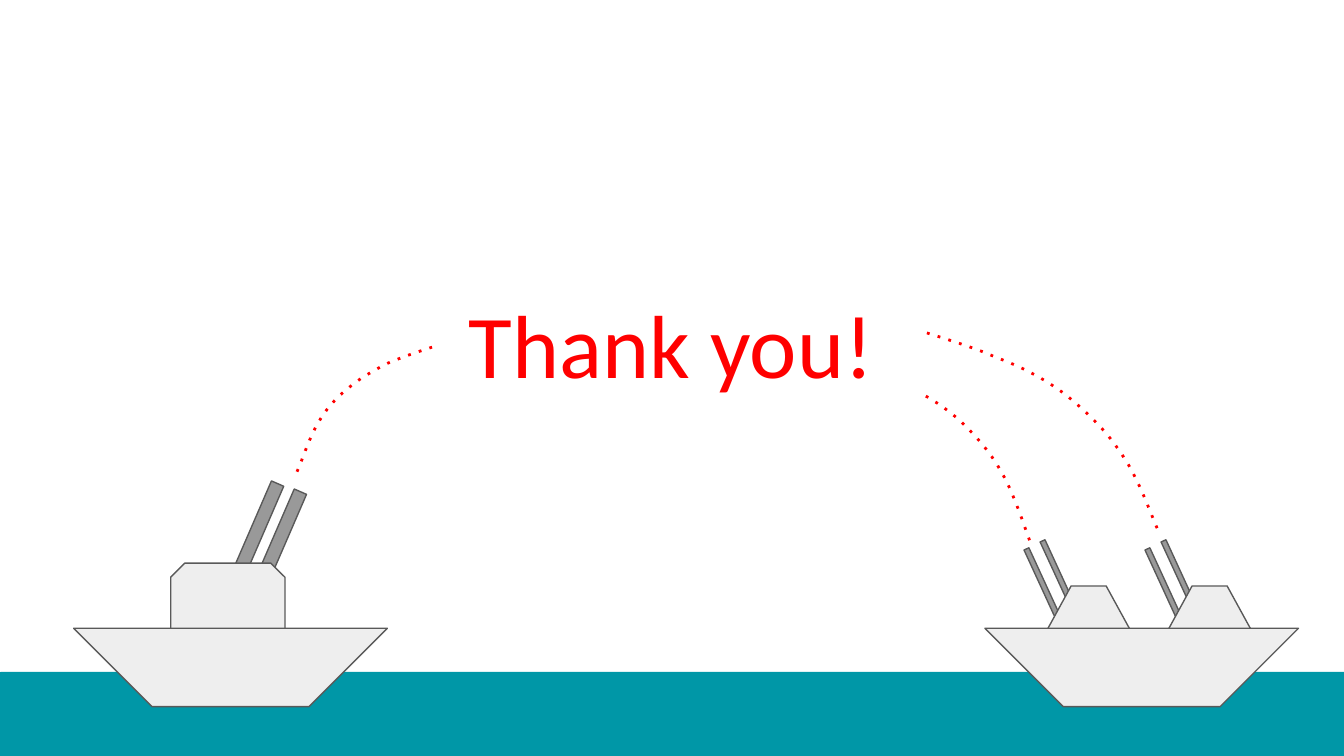
from pptx import Presentation
from pptx.dml.color import RGBColor
from pptx.enum.dml import MSO_LINE
from pptx.enum.shapes import MSO_SHAPE
from pptx.enum.text import MSO_ANCHOR, PP_ALIGN
from pptx.oxml.ns import qn
from pptx.util import Inches, Pt

SEA = RGBColor(0x00, 0x97, 0xA7)
STEEL = RGBColor(0xEE, 0xEE, 0xEE)
BARREL = RGBColor(0x99, 0x99, 0x99)
OUTLINE = RGBColor(0x59, 0x59, 0x59)
RED = RGBColor(0xFF, 0x00, 0x00)
WHITE = RGBColor(0xFF, 0xFF, 0xFF)

MESSAGE = "Thank you!"

# Places are left, top, width, height in inches.
SEA_BOX = (-0.15, 5, 10.34, 0.96)
MESSAGE_BOX = (3.14, 2.05, 3.71, 0.94)
HULL_LEFTS = [0.89, 7.67]
HULL_TOP, HULL_SIZE = 3.85, 1.65
SMALL_TURRET_LEFTS = [8.64, 7.74]
SMALL_BARREL_OFFSETS = [(-0.14, -0.11), (-0.26, -0.05)]
BIG_TURRET_BOX = (1.27, 4.19, 0.85, 0.63)
BIG_BARRELS = [(1.67, 3.98, 0.81, 0.1), (1.5, 3.92, 0.81, 0.1)]

# Each path is a start point followed by groups of three Bezier points.
RIGHT_SHOTS = [
    [(8.61, 3.93), (8.57, 3.84), (8.46, 3.53), (8.34, 3.37),
     (8.23, 3.2), (8.07, 3.05), (7.92, 2.93),
     (7.76, 2.81), (7.6, 2.73), (7.39, 2.65),
     (7.19, 2.56), (6.8, 2.45), (6.68, 2.41)],
    [(7.66, 4.02), (7.63, 3.94), (7.54, 3.66), (7.45, 3.51),
     (7.36, 3.35), (7.24, 3.22), (7.12, 3.11),
     (6.99, 3), (6.87, 2.93), (6.7, 2.85),
     (6.54, 2.77), (6.23, 2.67), (6.14, 2.64)],
]
LEFT_SHOT = [
    (2.21, 3.51), (2.24, 3.45), (2.3, 3.26), (2.36, 3.16),
    (2.42, 3.05), (2.5, 2.96), (2.59, 2.89),
    (2.67, 2.82), (2.76, 2.77), (2.87, 2.71),
    (2.98, 2.66), (3.19, 2.59), (3.26, 2.57),
]
CURVE_STEPS = 8

prs = Presentation()
prs.slide_width = Inches(10)
prs.slide_height = prs.slide_width * 9 // 16
slide = prs.slides.add_slide(prs.slide_layouts[6])


def add_part(kind, box, fill, outline=OUTLINE, rotation=0, adjustments=()):
    part = slide.shapes.add_shape(kind, *map(Inches, box))
    part.shadow.inherit = False
    part.rotation = rotation
    for index, value in enumerate(adjustments):
        part.adjustments[index] = value
    part.fill.solid()
    part.fill.fore_color.rgb = fill
    if outline is None:
        part.line.fill.background()
    else:
        part.line.color.rgb = outline
        part.line.width = Pt(0.75)
    return part


def bezier_point(controls, t):
    weights = ((1 - t) ** 3, 3 * t * (1 - t) ** 2, 3 * t ** 2 * (1 - t), t ** 3)
    return tuple(Inches(sum(w * c for w, c in zip(weights, axis)))
                 for axis in zip(*controls))


def add_shot(path):
    """Draw a dotted trajectory along a chain of cubic Bezier curves."""
    points = [bezier_point(path[i:i + 4], step / CURVE_STEPS)
              for i in range(0, len(path) - 1, 3)
              for step in range(1, CURVE_STEPS + 1)]
    builder = slide.shapes.build_freeform(*map(Inches, path[0]))
    builder.add_line_segments(points, close=False)
    shot = builder.convert_to_shape()
    shot.shadow.inherit = False
    shot.fill.background()
    shot.line.color.rgb = RED
    shot.line.width = Pt(1.5)
    shot.line.dash_style = MSO_LINE.ROUND_DOT
    # The widely spaced "dot" preset has no member in MSO_LINE.
    next(shot.element.iter(qn("a:prstDash"))).set("val", "dot")


add_part(MSO_SHAPE.ROUNDED_RECTANGLE, SEA_BOX, SEA, outline=None)

for left in SMALL_TURRET_LEFTS:
    for dx, dy in SMALL_BARREL_OFFSETS:
        add_part(MSO_SHAPE.RECTANGLE, (left + dx, 4.36 + dy, 0.54, 0.04),
                 BARREL, rotation=65.3)
    add_part(MSO_SHAPE.TRAPEZOID, (left, 4.36, 0.72, 0.42), STEEL,
             adjustments=[0.547])

for barrel in BIG_BARRELS:
    add_part(MSO_SHAPE.RECTANGLE, barrel, BARREL, rotation=293.4)
add_part(MSO_SHAPE.SNIP_2_SAME_RECTANGLE, BIG_TURRET_BOX, STEEL,
         adjustments=[0.167, 0])

for left in HULL_LEFTS:
    add_part(MSO_SHAPE.DIAGONAL_STRIPE, (left, HULL_TOP, HULL_SIZE, HULL_SIZE),
             STEEL, rotation=225, adjustments=[0.5])

for shot_path in RIGHT_SHOTS:
    add_shot(shot_path)

message = add_part(MSO_SHAPE.RECTANGLE, MESSAGE_BOX, WHITE, outline=None)
frame = message.text_frame
frame.word_wrap = True
frame.vertical_anchor = MSO_ANCHOR.TOP
frame.margin_left = frame.margin_right = Inches(0.1)
frame.margin_top = frame.margin_bottom = Inches(0.1)
frame.text = MESSAGE
paragraph = frame.paragraphs[0]
paragraph.alignment = PP_ALIGN.CENTER
font = paragraph.runs[0].font
font.name, font.size = "Calibri", Pt(48)
font.color.rgb = RED

add_shot(LEFT_SHOT)

prs.save("out.pptx")
